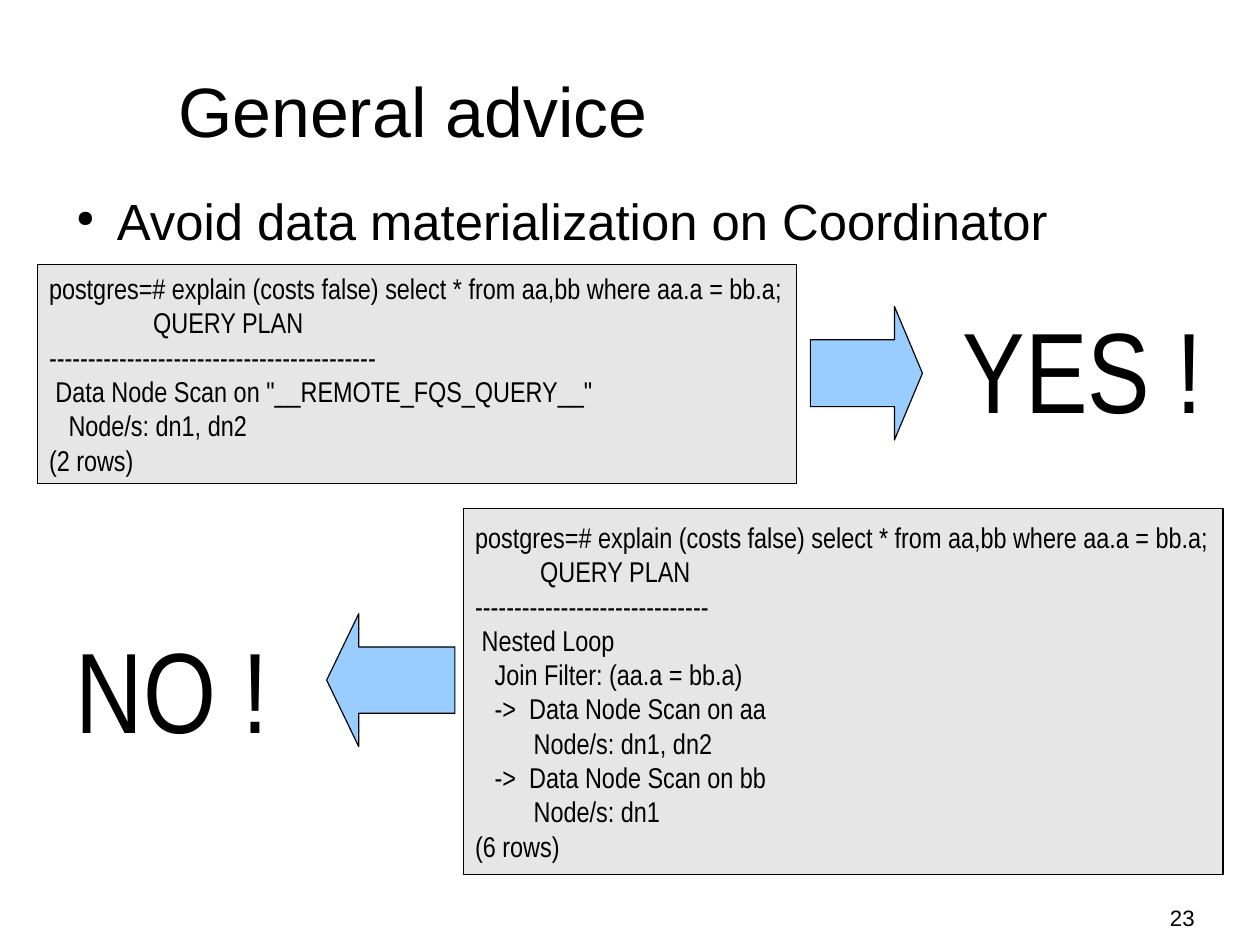
from lxml.etree import SubElement
from pptx import Presentation
from pptx.dml.color import RGBColor
from pptx.enum.shapes import MSO_SHAPE as Shape
from pptx.enum.text import MSO_ANCHOR as Anchor, PP_ALIGN as Align
from pptx.oxml.ns import qn
from pptx.util import Cm, Pt

BLACK = "000000"
CODE_FILL = "E6E6E6"
ARROW_FILL = "99CCFF"
QUERY = "postgres=# explain (costs false) select * from aa,bb where aa.a = bb.a;"

PUSHED_DOWN_PLAN = [
    QUERY,
    "                QUERY PLAN",
    "-" * 42,
    ' Data Node Scan on "__REMOTE_FQS_QUERY__"',
    "   Node/s: dn1, dn2",
    "(2 rows)",
]
NESTED_LOOP_PLAN = [
    QUERY,
    "          QUERY PLAN",
    "-" * 30,
    " Nested Loop",
    "   Join Filter: (aa.a = bb.a)",
    "   ->  Data Node Scan on aa",
    "         Node/s: dn1, dn2",
    "   ->  Data Node Scan on bb",
    "         Node/s: dn1",
    "(6 rows)",
]


def color(value):
    return RGBColor.from_string(value)


def place(left, top, width, height):
    return Cm(left), Cm(top), Cm(width), Cm(height)


def set_margins(frame, horizontal, vertical):
    frame.margin_left = frame.margin_right = Cm(horizontal)
    frame.margin_top = frame.margin_bottom = Cm(vertical)


def write(para, text, size, font="Arial", align=Align.LEFT):
    para.alignment = align
    span = para.add_run()
    span.text = text
    span.font.size = Pt(size)
    span.font.name = font
    span.font.color.rgb = color(BLACK)


def add_bullet(para):
    properties = para._p.get_or_add_pPr()
    bullet_color = SubElement(properties, qn("a:buClr"))
    SubElement(bullet_color, qn("a:srgbClr"), val=BLACK)
    SubElement(properties, qn("a:buSzPct"), val="45000")
    SubElement(properties, qn("a:buChar"), char="●")


def add_text(page, text, area, size, anchor=Anchor.TOP, indent=0, hanging=0,
             bullet=False, **style):
    frame = page.shapes.add_textbox(*place(*area)).text_frame
    frame.word_wrap = True
    frame.vertical_anchor = anchor
    set_margins(frame, 0, 0)
    para = frame.paragraphs[0]
    properties = para._p.get_or_add_pPr()
    properties.set("marL", str(Cm(indent)))
    properties.set("indent", str(-Cm(hanging)))
    if bullet:
        add_bullet(para)
    write(para, text, size, **style)


def add_figure(page, kind, area, fill):
    figure = page.shapes.add_shape(kind, *place(*area))
    figure.shadow.inherit = False
    figure.fill.solid()
    figure.fill.fore_color.rgb = color(fill)
    figure.line.color.rgb = color(BLACK)
    figure.line.width = Pt(0)
    return figure


def add_plan(page, lines, area):
    frame = add_figure(page, Shape.RECTANGLE, area, CODE_FILL).text_frame
    frame.word_wrap = False
    frame.vertical_anchor = Anchor.MIDDLE
    set_margins(frame, 0.25, 0.13)
    for index, line in enumerate(lines):
        para = frame.add_paragraph() if index else frame.paragraphs[0]
        write(para, line, 18, font="Arial Narrow")


def add_arrow(page, kind, area):
    arrow = add_figure(page, kind, area, ARROW_FILL)
    arrow.adjustments[0] = 0.5
    arrow.adjustments[1] = 0.25


def add_verdict(page, text, left, top):
    add_text(page, text, (left, top, 7.3, 2.92), 72, indent=1.2, font="Arial Narrow")


def main():
    deck = Presentation()
    deck.slide_width, deck.slide_height = Cm(28), Cm(21)
    page = deck.slides.add_slide(deck.slide_layouts[6])

    add_text(page, "General advice", (3.96, 0.69, 23.09, 3.5), 44, anchor=Anchor.MIDDLE)
    add_text(page, "Avoid data materialization on Coordinator",
             (1.4, 4.22, 25.2, 3.02), 32, indent=1.2, hanging=0.9, bullet=True)

    add_plan(page, PUSHED_DOWN_PLAN, (0.84, 5.87, 16.87, 4.88))
    add_plan(page, NESTED_LOOP_PLAN, (10.31, 11.3, 16.87, 8.13))

    add_arrow(page, Shape.RIGHT_ARROW, (18.01, 6.81, 2.49, 2.97))
    add_arrow(page, Shape.LEFT_ARROW, (7.26, 13.64, 2.85, 2.95))

    add_verdict(page, "YES !", 20.2, 6.65)
    add_verdict(page, "NO !", 0.48, 13.77)

    add_text(page, "23", (20.02, 20.09, 6.53, 0.56), 14, align=Align.RIGHT)
    deck.save("out.pptx")


if __name__ == "__main__":
    main()
